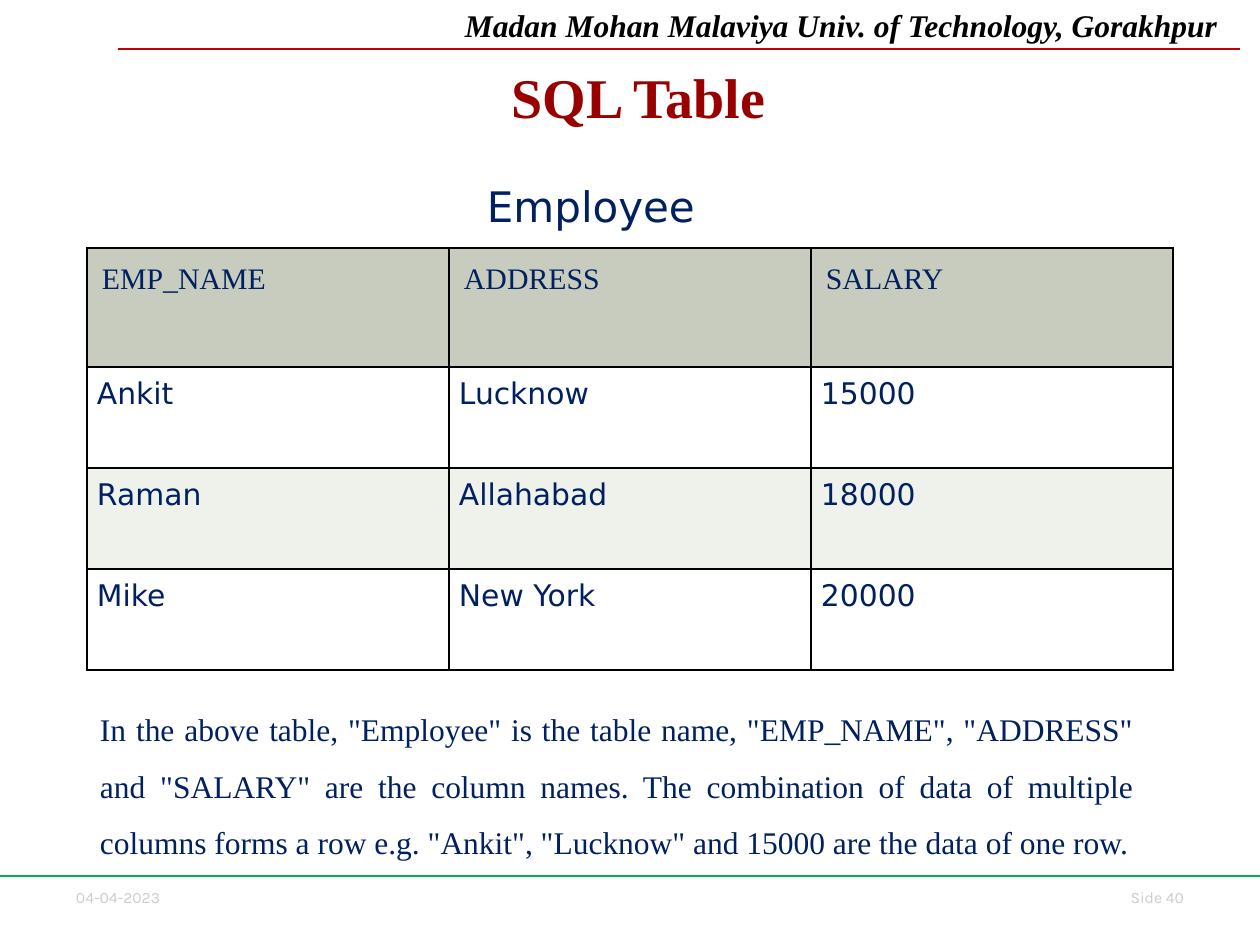
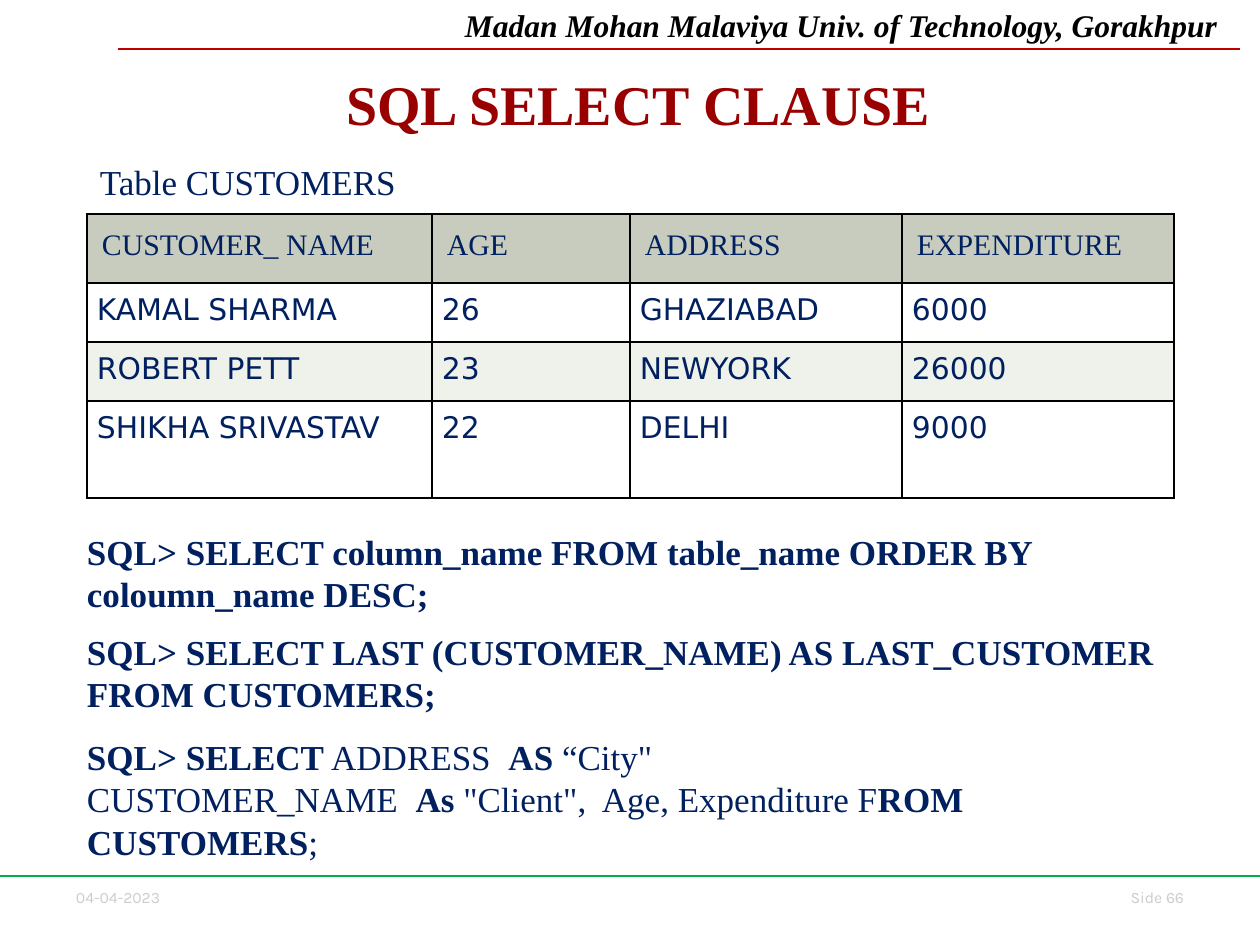
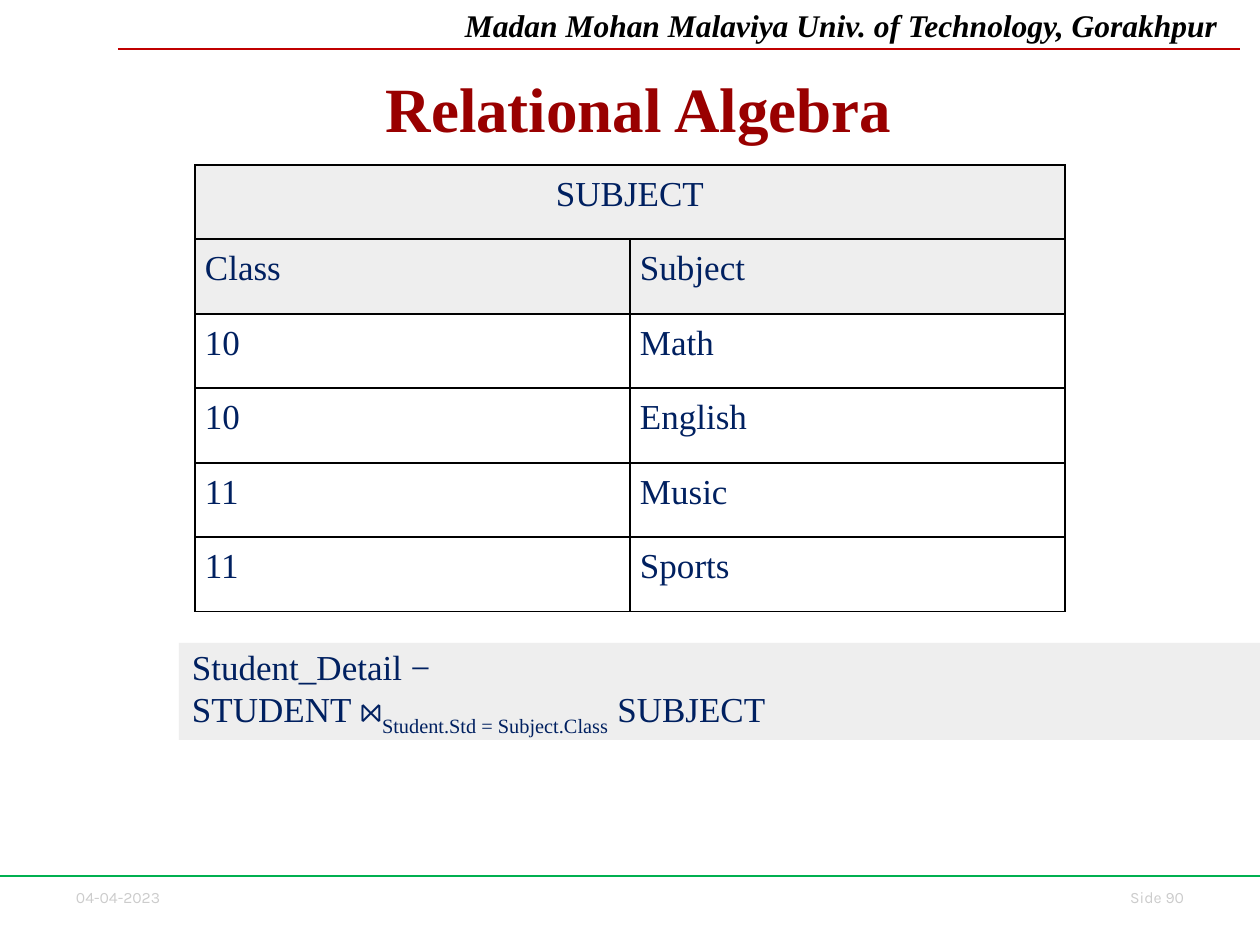
from lxml import etree
from pptx import Presentation
from pptx.dml.color import RGBColor
from pptx.enum.shapes import MSO_CONNECTOR, MSO_SHAPE
from pptx.enum.text import MSO_ANCHOR, PP_ALIGN
from pptx.oxml.ns import qn
from pptx.util import Emu, Pt

LEFT, CENTER, RIGHT, JUSTIFY = PP_ALIGN.LEFT, PP_ALIGN.CENTER, PP_ALIGN.RIGHT, PP_ALIGN.JUSTIFY
TOP, MIDDLE = MSO_ANCHOR.TOP, MSO_ANCHOR.MIDDLE
RECT, STRAIGHT = MSO_SHAPE.RECTANGLE, MSO_CONNECTOR.STRAIGHT

NAVY = RGBColor(0x00, 0x20, 0x60)
MAROON = RGBColor(0x99, 0x00, 0x00)
RED = RGBColor(0xC0, 0x00, 0x00)
GREEN = RGBColor(0x00, 0xB0, 0x50)
BLACK = RGBColor(0x00, 0x00, 0x00)
WHITE = RGBColor(0xFF, 0xFF, 0xFF)
SILVER = RGBColor(0xCC, 0xCC, 0xCC)
PALE = RGBColor(0xEE, 0xEE, 0xEE)
SAGE = RGBColor(0xC7, 0xCC, 0xBE)
MIST = RGBColor(0xEF, 0xF1, 0xEB)

SERIF, SANS, FOOTER_FONT = "Times New Roman", "DejaVu Sans", "Karla"
SLIDE_W, SLIDE_H = 1260, 945
EMU_PER_PX = 914400 / 126
INSET_X, INSET_Y = 13, 6
HEAD_INSET, BODY_INSET = 15, 10
BOLD, SUB = "bold", "sub"

UNIVERSITY = "Madan Mohan Malaviya Univ. of Technology, Gorakhpur"
DATE = "04-04-2023"

EMPLOYEES = [
    ["EMP_NAME", "ADDRESS", "SALARY"],
    ["Ankit", "Lucknow", "15000"],
    ["Raman", "Allahabad", "18000"],
    ["Mike", "New York", "20000"],
]
EMPLOYEE_NOTE = (
    'In the above table, "Employee" is the table name, "EMP_NAME", "ADDRESS" and "SALARY" '
    "are the column names. The combination of data of multiple columns forms a row e.g. "
    '"Ankit", "Lucknow" and 15000 are the data of one row.'
)
CUSTOMERS = [
    ["CUSTOMER_ NAME", "AGE", "ADDRESS", "EXPENDITURE"],
    ["KAMAL SHARMA", "26", "GHAZIABAD", "6000"],
    ["ROBERT PETT", "23", "NEWYORK", "26000"],
    ["SHIKHA SRIVASTAV", "22", "DELHI", "9000"],
]
QUERIES = [
    ((74, 524, 1186, 97), [
        [("SQL> SELECT column_name FROM table_name ORDER BY coloumn_name DESC;", BOLD)],
    ]),
    ((74, 624, 1173, 97), [
        [("SQL> SELECT LAST (CUSTOMER_NAME) AS LAST_CUSTOMER FROM CUSTOMERS;", BOLD)],
    ]),
    ((74, 730, 1072, 140), [
        [("SQL> SELECT", BOLD), (" ADDRESS  ", None), ("AS", BOLD), (' “City"', None)],
        [("CUSTOMER_NAME  ", None), ("As", BOLD), (' "Client",  Age, Expenditure F', None),
         ("ROM CUSTOMERS", BOLD), (";", None)],
    ]),
]
SUBJECTS = [
    ["SUBJECT", ""],
    ["Class", "Subject"],
    ["10", "Math"],
    ["10", "English"],
    ["11", "Music"],
    ["11", "Sports"],
]
JOIN = [
    [("Student_Detail −", None)],
    [("STUDENT ⋈", None), ("Student.Std = Subject.Class", SUB), (" SUBJECT", None)],
]


def px(n):
    return Emu(round(n * EMU_PER_PX))


def style(font, size, color, name=SERIF, bold=False, italic=False):
    font.size, font.name = Pt(size), name
    font.bold, font.italic = bold, italic
    font.color.rgb = color


def write(tf, paragraphs, size, color=NAVY, name=SERIF, bold=False, italic=False,
          align=LEFT, spacing=None):
    for i, runs in enumerate(paragraphs):
        p = tf.paragraphs[0] if i == 0 else tf.add_paragraph()
        p.alignment = align
        if spacing:
            p.line_spacing = spacing
        for text, mark in runs:
            r = p.add_run()
            r.text = text
            style(r.font, size, color, name, bold or mark == BOLD, italic)
            if mark == SUB:
                r.font._element.set("baseline", "-30000")


def set_frame(tf, anchor, inset_y=INSET_Y):
    tf.word_wrap = True
    tf.vertical_anchor = anchor
    tf.margin_left = tf.margin_right = px(INSET_X)
    tf.margin_top = tf.margin_bottom = px(inset_y)


def add_text(s, box, content, size, anchor=TOP, inset_y=INSET_Y, **look):
    paragraphs = [[(content, None)]] if isinstance(content, str) else content
    tf = s.shapes.add_textbox(*map(px, box)).text_frame
    set_frame(tf, anchor, inset_y)
    write(tf, paragraphs, size, **look)


def add_rule(s, x1, x2, y, color):
    line = s.shapes.add_connector(STRAIGHT, px(x1), px(y), px(x2), px(y))
    line.line.color.rgb = color
    line.line.width = Pt(0.75)
    etree.SubElement(line._element.spPr, qn("a:effectLst"))


def add_borders(cell):
    tc_pr = cell._tc.get_or_add_tcPr()
    for i, side in enumerate(("lnL", "lnR", "lnT", "lnB")):
        ln = etree.Element(qn("a:" + side), w=str(Pt(1)))
        fill = etree.SubElement(ln, qn("a:solidFill"))
        etree.SubElement(fill, qn("a:srgbClr"), val=str(BLACK))
        tc_pr.insert(i, ln)


def add_grid(s, left, top, widths, heights, rows, look):
    frame = s.shapes.add_table(len(rows), len(widths), px(left), px(top),
                               px(sum(widths)), px(sum(heights)))
    table = frame.table
    for column, width in zip(table.columns, widths):
        column.width = px(width)
    for i, (row, values) in enumerate(zip(table.rows, rows)):
        row.height = px(heights[i])
        fill, inset, size, name = look(i)
        for cell, value in zip(row.cells, values):
            if fill is None:
                cell.fill.background()
            else:
                cell.fill.solid()
                cell.fill.fore_color.rgb = fill
            cell.margin_left = cell.margin_right = px(inset)
            cell.margin_top = cell.margin_bottom = px(inset)
            add_borders(cell)
            if value:
                write(cell.text_frame, [[(value, None)]], size, name=name)
    return table


def banded_look(i):
    if i == 0:
        return SAGE, HEAD_INSET, 17, SERIF
    return (WHITE if i % 2 else MIST), BODY_INSET, 17, SANS


def subject_look(i):
    return (PALE if i < 2 else None), BODY_INSET, 20, SERIF


def new_slide(prs, number, title, title_top, title_size):
    s = prs.slides.add_slide(prs.slide_layouts[6])
    s.background.fill.solid()
    s.background.fill.fore_color.rgb = WHITE
    add_text(s, (63, 882, 130, 32), DATE, 9, color=SILVER, name=FOOTER_FONT)
    add_text(s, (1092, 882, 105, 32), f"Side {number}", 9, color=SILVER,
             name=FOOTER_FONT, align=RIGHT)
    add_text(s, (452, 0, 808, 50), UNIVERSITY, 18, color=BLACK, bold=True, italic=True)
    add_rule(s, 118, 1240, 49, RED)
    add_rule(s, 0, SLIDE_W, 876, GREEN)
    add_text(s, (98, title_top, 1081, 95), title, title_size, inset_y=13,
             color=MAROON, bold=True, align=CENTER)
    return s


def employee_slide(prs):
    s = new_slide(prs, 40, "SQL Table", 49, 32)
    add_text(s, (87, 687, 1060, 178), EMPLOYEE_NOTE, 18, anchor=MIDDLE,
             align=JUSTIFY, spacing=1.5)
    add_grid(s, 87, 248, [362] * 3, [119] + [101] * 3, EMPLOYEES, banded_look)
    add_text(s, (474, 175, 633, 63), "Employee", 24, name=SANS)


def select_slide(prs):
    s = new_slide(prs, 66, "SQL SELECT CLAUSE", 56, 32)
    add_grid(s, 87, 214, [345, 198, 272, 272], [69, 59, 59, 97], CUSTOMERS, banded_look)
    add_text(s, (87, 154, 1019, 55), "Table CUSTOMERS", 20, anchor=MIDDLE)
    for box, query in QUERIES:
        add_text(s, box, query, 20)


def algebra_slide(prs):
    s = new_slide(prs, 90, "Relational Algebra", 56, 36)
    table = add_grid(s, 195, 165, [435] * 2, [74, 75] * 3, SUBJECTS, subject_look)
    heading = table.cell(0, 0)
    heading.merge(table.cell(0, 1))
    heading.text_frame.paragraphs[0].alignment = CENTER
    sp = s.shapes.add_shape(RECT, *map(px, (179, 643, 1081, 97)))
    sp.shadow.inherit = False
    sp.fill.solid()
    sp.fill.fore_color.rgb = PALE
    sp.line.fill.background()
    set_frame(sp.text_frame, MIDDLE)
    write(sp.text_frame, JOIN, 20)


def main():
    prs = Presentation()
    prs.slide_width, prs.slide_height = px(SLIDE_W), px(SLIDE_H)
    employee_slide(prs)
    select_slide(prs)
    algebra_slide(prs)
    prs.save("out.pptx")


if __name__ == "__main__":
    main()
